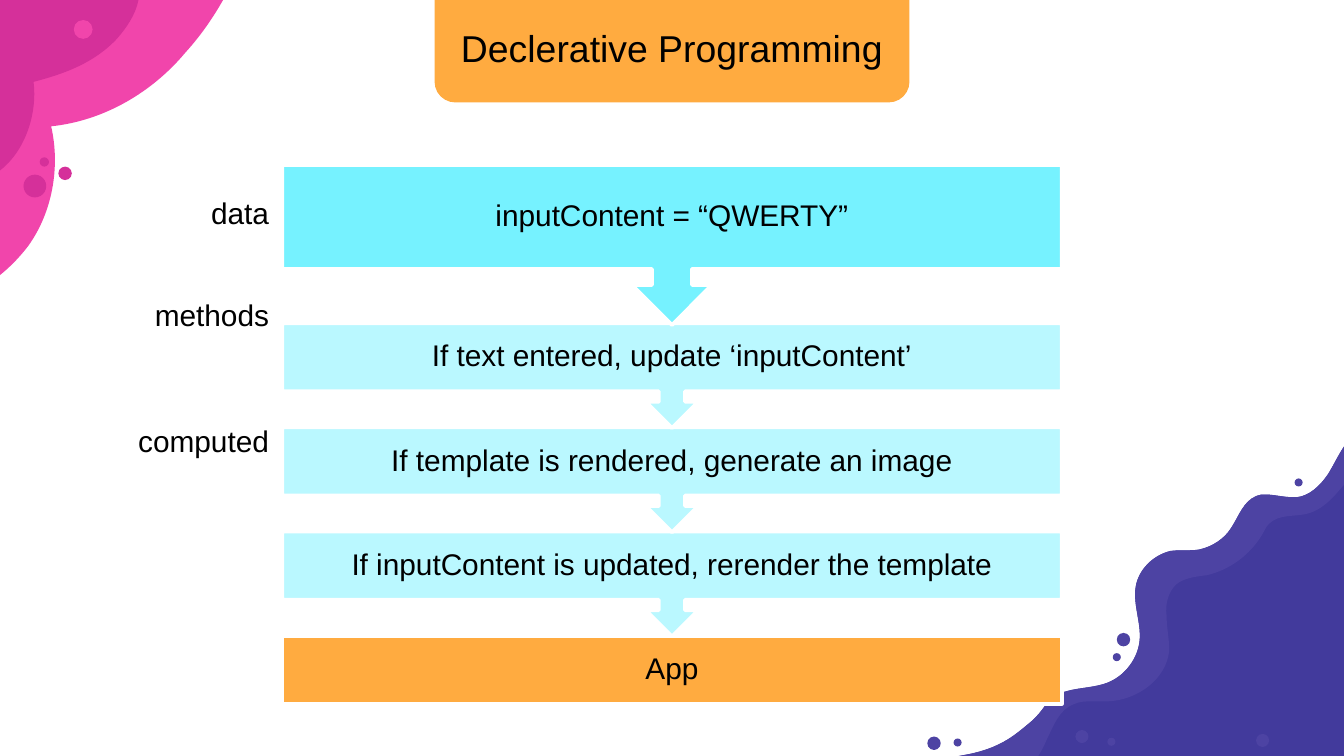
from dataclasses import dataclass

from lxml.etree import SubElement
from pptx import Presentation
from pptx.dml.color import RGBColor
from pptx.enum.shapes import MSO_SHAPE as Preset
from pptx.enum.text import MSO_ANCHOR as Anchor, MSO_AUTO_SIZE as AutoSize, PP_ALIGN as Align
from pptx.oxml.ns import qn
from pptx.shapes.autoshape import Shape
from pptx.slide import Slide
from pptx.util import Pt

PINK, MAGENTA = "F145AB", "D5309A"
INDIGO, VIOLET = "423A9C", "4D43A3"
ORANGE, CYAN, PALE_CYAN = "FFAB40", "76F2FF", "BAF8FF"
WHITE, BLACK = "FFFFFF", "000000"

Segment = tuple[float, ...]


@dataclass
class Blob:
    """An outline: two numbers make a line (or the start), six a Bezier curve."""
    color: str
    outline: list[Segment]


@dataclass
class Dot:
    x: float
    y: float
    size: float
    color: str


@dataclass
class Step:
    text: str
    top: float
    height: float
    color: str
    preset: Preset = Preset.DOWN_ARROW_CALLOUT


@dataclass
class Label:
    text: str
    top: float
    width: float


WAVE_EDGE = [
    (725.8, 232.6),
    (724.3, 234, 723.6, 234.7, 722.2, 236.2),
    (717.8, 241.9, 715, 248.4, 711.4, 254.2),
    (707, 260.6, 701.3, 265.7, 694.8, 266.4),
    (694.1, 266.4, 693.4, 266.4, 692.6, 266.4),
    (687.6, 266.4, 682.6, 265, 678.2, 265),
    (676.1, 265, 674.6, 265, 673.2, 265.7),
    (666, 268.6, 663.8, 276.5, 659.5, 283),
    (655.9, 288.7, 649.4, 293, 642.2, 294.5),
    (637.2, 295.2, 632.2, 294.5, 627.1, 295.2),
    (617.8, 297.4, 609.8, 305.3, 608.4, 314.6),
    (607, 324, 611.3, 333.4, 610.6, 342.7),
    (609.8, 352.8, 602.6, 362.2, 593.3, 365.8),
    (583.9, 369.4, 572.4, 367.9, 563.8, 373.7),
    (562.3, 374.4, 561.6, 375.8, 560.9, 376.6),
    (558, 380.9, 555.1, 384.5, 551.5, 387.4),
    (547.2, 391, 542.9, 394.6, 537.8, 397.4),
    (531.4, 401, 524.2, 403.2, 516.2, 404.6),
    (500.4, 407.5),
]
INNER_EDGE = [
    (554.4, 407.5),
    (557.3, 403.9, 559.4, 399.6, 560.9, 396),
    (564.5, 388.8, 567.4, 380.2, 575.3, 377.3),
    (578.2, 375.8, 581.8, 375.8, 584.6, 375.8),
    (587.5, 375.8, 590.4, 375.8, 593.3, 375.8),
    (609.8, 375.1, 625, 363.6, 626.4, 348.5),
    (626.4, 342, 625, 336.2, 625, 329.8),
    (624.2, 324, 625.7, 317.5, 630, 313.2),
    (634.3, 309.6, 640.8, 308.9, 646.6, 308.2),
    (658.8, 305.3, 669.6, 297.4, 676.1, 286.6),
    (677.5, 284.4, 678.2, 282.2, 679.7, 280.8),
    (685.4, 275, 694.1, 277.2, 701.3, 275),
    (712.8, 271.4, 718.6, 259.9, 727.2, 252),
    (736.6, 242.6, 748.8, 237.6, 761.8, 234.7),
    (761.8, 232.6),
]
BLOBS = [
    Blob(PINK, [
        (-8.6, 0), (-8.6, 153.4),
        (0, 148.3, 8.6, 140.4, 15.1, 131.8),
        (28.1, 113.8, 32.4, 89.3, 27.4, 67.7),
        (55.4, 64.8, 81.4, 49.7, 99.4, 28.1),
        (107.3, 19.4, 113.8, 10.1, 119.5, 0),
    ]),
    Blob(MAGENTA, [
        (0, 0), (0, 91.4),
        (13, 81.4, 20.2, 61.9, 18, 43.9),
        (34.6, 39.6, 50.4, 33.8, 62.6, 20.9),
        (67.7, 15.1, 72.7, 7.9, 74.2, 0),
    ]),
    Blob(INDIGO, WAVE_EDGE + [(761.8, 407.5), (761.8, 232.6)]),
    Blob(VIOLET, WAVE_EDGE + INNER_EDGE),
]
DOTS = [
    Dot(34.9, 92.9, 7.2, MAGENTA), Dot(44.6, 15.8, 10.1, PINK),
    Dot(18.7, 99.7, 12.2, MAGENTA), Dot(23.8, 86.8, 5, MAGENTA),
    Dot(579.6, 394.6, 7, VIOLET), Dot(676.4, 396.7, 7, VIOLET),
    Dot(595.4, 397.4, 4.3, VIOLET), Dot(598.3, 352.1, 4.3, VIOLET),
    Dot(513, 397.8, 4.3, VIOLET), Dot(695.7, 258.5, 4.3, VIOLET),
    Dot(601.9, 342.7, 7.2, VIOLET), Dot(500.4, 398.2, 7.2, VIOLET),
]

STEP_LEFT, STEP_WIDTH = 151.2, 417.6
RULES_TOP, RULE_PITCH, RULE_HEIGHT = 173.1, 55.85, 56.2
RULES = [
    "If text entered, update ‘inputContent’",
    "If template is rendered, generate an image",
    "If inputContent is updated, rerender the template",
]
STEPS = [
    Step("inputContent = “QWERTY”", 88.4, 85.7, CYAN),
    *(Step(rule, RULES_TOP + i * RULE_PITCH, RULE_HEIGHT, PALE_CYAN)
      for i, rule in enumerate(RULES)),
    Step("App", RULES_TOP + len(RULES) * RULE_PITCH, 36.5, ORANGE, Preset.RECTANGLE),
]
LABELS = [Label("data", 100.8, 54.7), Label("methods", 155.5, 78.5), Label("computed", 222.9, 92.2)]


def rgb(color: str) -> RGBColor:
    return RGBColor.from_string(color)


def paint(shape: Shape, fill: str, line: str | None = None) -> None:
    shape.shadow.inherit = False
    shape.fill.solid()
    shape.fill.fore_color.rgb = rgb(fill)
    if line:
        shape.line.color.rgb = rgb(line)
        shape.line.width = Pt(2)
    else:
        shape.line.fill.background()


def write(shape: Shape, text: str, *, size: float = 16, align: Align = Align.CENTER,
          anchor: Anchor = Anchor.MIDDLE, spacing: float = 1.0) -> None:
    frame = shape.text_frame
    frame.word_wrap = True
    frame.vertical_anchor = anchor
    para = frame.paragraphs[0]
    para.alignment = align
    para.line_spacing = spacing
    span = para.add_run()
    span.text = text
    span.font.name = "Arial"
    span.font.size = Pt(size)
    span.font.color.rgb = rgb(BLACK)


def bend(shape: Shape, segments: list[Segment]) -> None:
    """Turn the sides that have control points into Bezier curves."""
    sides = list(shape._element.iter(qn("a:lnTo")))
    for side, segment in zip(sides, segments):
        if len(segment) == 2:
            continue
        side.tag = qn("a:cubicBezTo")
        for child in list(side):
            side.remove(child)
        for x, y in zip(segment[::2], segment[1::2]):
            SubElement(side, qn("a:pt"), x=str(Pt(x) - shape.left), y=str(Pt(y) - shape.top))


def draw_blob(page: Slide, blob: Blob) -> None:
    start, *corners = [(Pt(segment[-2]), Pt(segment[-1])) for segment in blob.outline]
    builder = page.shapes.build_freeform(*start)
    builder.add_line_segments(corners, close=True)
    shape = builder.convert_to_shape()
    bend(shape, blob.outline[1:])
    paint(shape, blob.color)


def draw_dot(page: Slide, dot: Dot) -> None:
    half = dot.size / 2
    paint(page.shapes.add_shape(Preset.OVAL, Pt(dot.x - half), Pt(dot.y - half),
                                Pt(dot.size), Pt(dot.size)), dot.color)


def draw_step(page: Slide, step: Step) -> None:
    box = page.shapes.add_shape(step.preset, Pt(STEP_LEFT), Pt(step.top),
                                Pt(STEP_WIDTH), Pt(step.height))
    paint(box, step.color, WHITE)
    write(box, step.text, spacing=0.9)


def draw_label(page: Slide, label: Label) -> None:
    box = page.shapes.add_textbox(Pt(STEP_LEFT - label.width), Pt(label.top),
                                  Pt(label.width), Pt(26.6))
    write(box, label.text, align=Align.RIGHT, anchor=Anchor.TOP)
    box.text_frame.auto_size = AutoSize.SHAPE_TO_FIT_TEXT


def draw_title(page: Slide, text: str) -> None:
    tab = page.shapes.add_shape(Preset.ROUND_2_SAME_RECTANGLE, Pt(232.8), Pt(-0.7), Pt(254.4), Pt(55.6))
    tab.adjustments[0], tab.adjustments[1] = 0, 0.2
    paint(tab, ORANGE)
    write(tab, text, size=20)


def main() -> None:
    deck = Presentation()
    deck.slide_width, deck.slide_height = Pt(720), Pt(405)
    page = deck.slides.add_slide(deck.slide_layouts[6])
    for blob in BLOBS:
        draw_blob(page, blob)
    for dot in DOTS:
        draw_dot(page, dot)
    for step in reversed(STEPS):
        draw_step(page, step)
    draw_title(page, "Declerative Programming")
    for label in LABELS:
        draw_label(page, label)
    deck.save("out.pptx")


if __name__ == "__main__":
    main()
